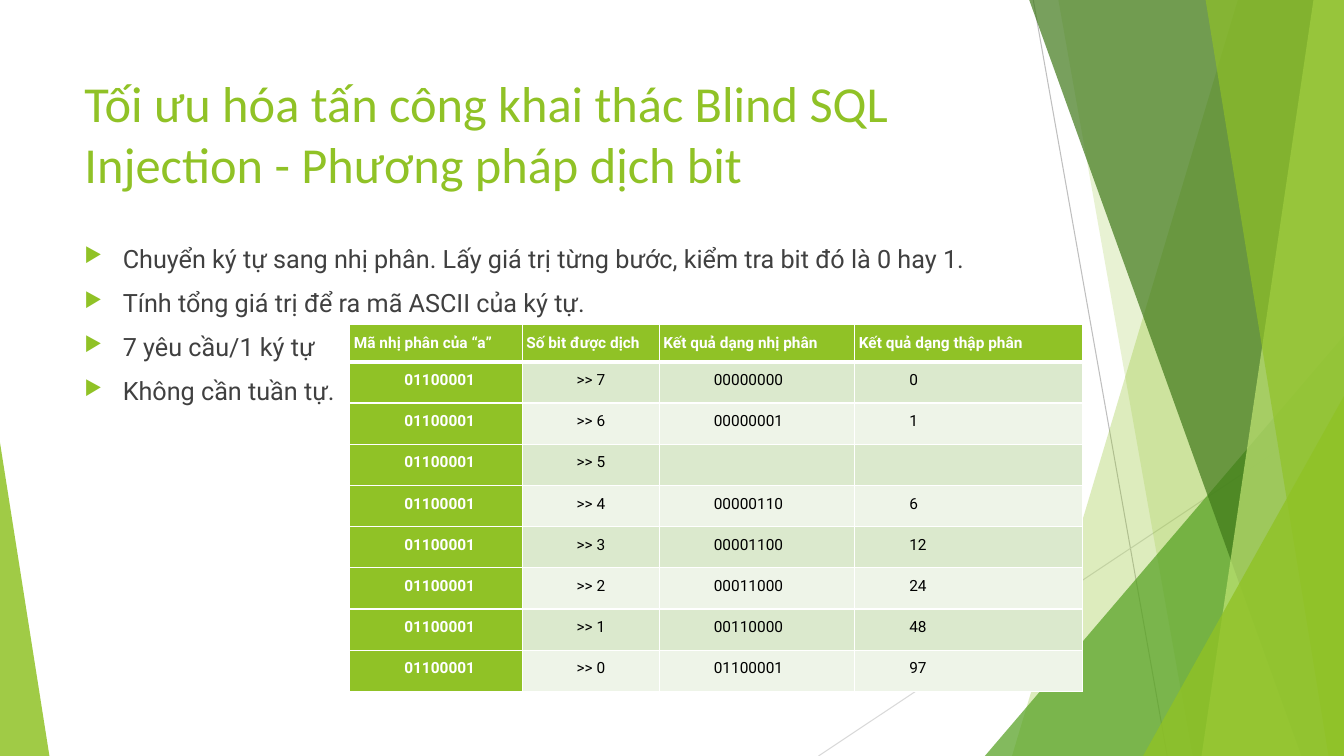
from pptx import Presentation
from pptx.dml.color import RGBColor
from pptx.enum.shapes import MSO_CONNECTOR, MSO_SHAPE
from pptx.enum.text import MSO_ANCHOR, PP_ALIGN
from pptx.oxml import parse_xml
from pptx.oxml.ns import nsdecls
from pptx.util import Inches, Pt
from lxml.etree import SubElement as Sub

GREEN = RGBColor(0x90, 0xC2, 0x26)
LEAF = RGBColor(0x54, 0xA0, 0x21)
FOREST = RGBColor(0x3F, 0x78, 0x19)
LIME = RGBColor(0xC0, 0xE4, 0x74)
BAND_DARK = RGBColor(0xDB, 0xE9, 0xCD)
BAND_LIGHT = RGBColor(0xEE, 0xF4, 0xE8)
GREY = RGBColor(0xBF, 0xBF, 0xBF)
PALE_GREY = RGBColor(0xD9, 0xD9, 0xD9)
BODY_GREY = RGBColor(0x40, 0x40, 0x40)
WHITE = RGBColor(0xFF, 0xFF, 0xFF)
BLACK = RGBColor(0, 0, 0)

TITLE_FONT = {"name": "Calibri", "size": Pt(36)}
BODY_FONT = {"name": "Roboto", "size": Pt(18)}
HEAD_FONT = {"name": "Roboto", "size": Pt(11), "bold": True}
CELL_FONT = {**HEAD_FONT, "bold": False}
FRAME = {"word_wrap": True, "vertical_anchor": MSO_ANCHOR.TOP}
CELL_MARGINS = {f"margin_{side}": Inches(0.04)
                for side in ("left", "right", "top", "bottom")}

deck = Presentation()
deck.slide_width, deck.slide_height = Inches(13.33), Inches(7.5)
slide = deck.slides.add_slide(deck.slide_layouts[6])
shapes = slide.shapes


def grid(x, y):
    """Place on a grid of 100 columns by 100 rows."""
    return round(x * deck.slide_width / 100), round(y * deck.slide_height / 100)


def write(paragraph, text, colour, font_format):
    run = paragraph.add_run()
    run.text = text
    for key, value in font_format.items():
        setattr(run.font, key, value)
    run.font.color.rgb = colour


# Thin lines behind the facets
for start, end, colour in [((76.88, 0), (86.85, 100), GREY),
                           ((100, 53.73), (60.9, 100), PALE_GREY)]:
    ray = shapes.add_connector(MSO_CONNECTOR.STRAIGHT, *grid(*start), *grid(*end))
    ray.line.color.rgb = colour
    ray.line.width = Pt(0.75)
    Sub(ray._element.spPr, ray._element.spPr.nsmap["a"].join("{}") + "effectLst")

# Facets: a pair is the left edge at top and bottom, reaching the right edge;
# a longer tuple is a triangle's left, top, width and apex, resting on the bottom
facets = [
    (GREEN, 30, (92.1, 75.3)),
    (GREEN, 20, (78.75, 88.73)),
    (LEAF, 72, (73.28, 44.4, 26.72, 1)),
    (FOREST, 70, (76.58, 96.83)),
    (LIME, 70, (97.73, 89.4)),
    (GREEN, 65, (89.7, 98.85)),
    (GREEN, 80, (85.05, 52.4, 14.95, 1)),
    (GREEN, 85, (0, 58.53, 3.68, 0)),
]
for colour, opacity, outline in facets:
    if len(outline) == 2:
        top, bottom = outline
        builder = shapes.build_freeform(*grid(top, 0))
        builder.add_line_segments(
            [grid(100, 0), grid(100, 100), grid(bottom, 100)], close=True)
        facet = builder.convert_to_shape()
    else:
        left, top, width, apex = outline
        facet = shapes.add_shape(MSO_SHAPE.ISOSCELES_TRIANGLE,
                                 *grid(left, top), *grid(width, 100 - top))
        facet.adjustments[0] = apex
    facet.shadow.inherit = False
    facet.line.fill.background()
    facet.fill.solid()
    facet.fill.fore_color.rgb = colour
    tint = facet._element.spPr.find(".//{*}srgbClr")
    tint.append(parse_xml(f'<a:alpha {nsdecls("a")} val="{opacity * 1000}"/>'))

# Title and bullet list
title = shapes.add_textbox(*grid(5.55, 8.93), *grid(70.5, 19.2)).text_frame
points = shapes.add_textbox(*grid(5.55, 31.47), *grid(70.5, 56.53)).text_frame
for frame in (title, points):
    for key, value in FRAME.items():
        setattr(frame, key, value)

write(title.paragraphs[0],
      "Tối ưu hóa tấn công khai thác Blind SQL Injection - Phương pháp dịch bit",
      GREEN, TITLE_FONT)

for number, text in enumerate([
        "Chuyển ký tự sang nhị phân. Lấy giá trị từng bước, kiểm tra bit đó là 0 hay 1.",
        "Tính tổng giá trị để ra mã ASCII của ký tự.",
        "7 yêu cầu/1 ký tự",
        "Không cần tuần tự."]):
    point = points.add_paragraph() if number else points.paragraphs[0]
    point.space_before = Pt(10)
    write(point, text, BODY_GREY, BODY_FONT)
    props = point._p.get_or_add_pPr()
    props.set("marL", str(Inches(0.38)))
    props.set("indent", str(-Inches(0.38)))
    for bullet in (f'buClr {nsdecls("a")}><a:srgbClr val="{GREEN}"/></a:buClr',
                   f'buSzPct {nsdecls("a")} val="80000"/',
                   f'buChar {nsdecls("a")} char="▶"/'):
        props.append(parse_xml(f"<a:{bullet}>"))

# Table of bit shifts; the row for shift 5 leaves its results open
LETTER, OPEN_SHIFT = ord("a"), 5
rows = [["Mã nhị phân của “a”", "Số bit được dịch",
         "Kết quả dạng nhị phân", "Kết quả dạng thập phân"]]
for shift in range(7, -1, -1):
    value = LETTER >> shift
    results = ["", ""] if shift == OPEN_SHIFT else [f"{value:08b}", str(value)]
    rows.append([f"{LETTER:08b}", f">> {shift}", *results])

column_widths = [12.83, 10.2, 14.55, 16.95]
row_heights = [4.93] + [5.45] * 8
shifts = shapes.add_table(len(rows), len(column_widths), *grid(26.03, 42.93),
                          *grid(sum(column_widths), sum(row_heights))).table
shifts.horz_banding = False
for column, width in zip(shifts.columns, column_widths):
    column.width = grid(width, 0)[0]

for r, texts in enumerate(rows):
    shifts.rows[r].height = grid(0, row_heights[r])[1]
    for c, text in enumerate(texts):
        cell = shifts.cell(r, c)
        for key, value in CELL_MARGINS.items():
            setattr(cell, key, value)
        # White borders, heavier under the header
        for side in "LRTB":
            heavy = (r, side) in [(0, "B"), (1, "T")]
            cell._tc.get_or_add_tcPr().append(parse_xml(
                f'<a:ln{side} {nsdecls("a")} w="{Pt(3 if heavy else 1)}"><a:solidFill>'
                f'<a:srgbClr val="{WHITE}"/></a:solidFill></a:ln{side}>'))
        is_heading = r == 0 or c == 0
        cell.fill.solid()
        cell.fill.fore_color.rgb = (
            GREEN if is_heading else BAND_DARK if r % 2 else BAND_LIGHT)
        if not text:
            continue
        line = cell.text_frame.paragraphs[0]
        line.line_spacing = 1.3
        line.alignment = PP_ALIGN.JUSTIFY if r or c else PP_ALIGN.LEFT
        if r:
            line._p.get_or_add_pPr().set("indent", str(Inches(0.5)))
        write(line, text, WHITE if is_heading else BLACK,
              HEAD_FONT if is_heading else CELL_FONT)

deck.save("out.pptx")
